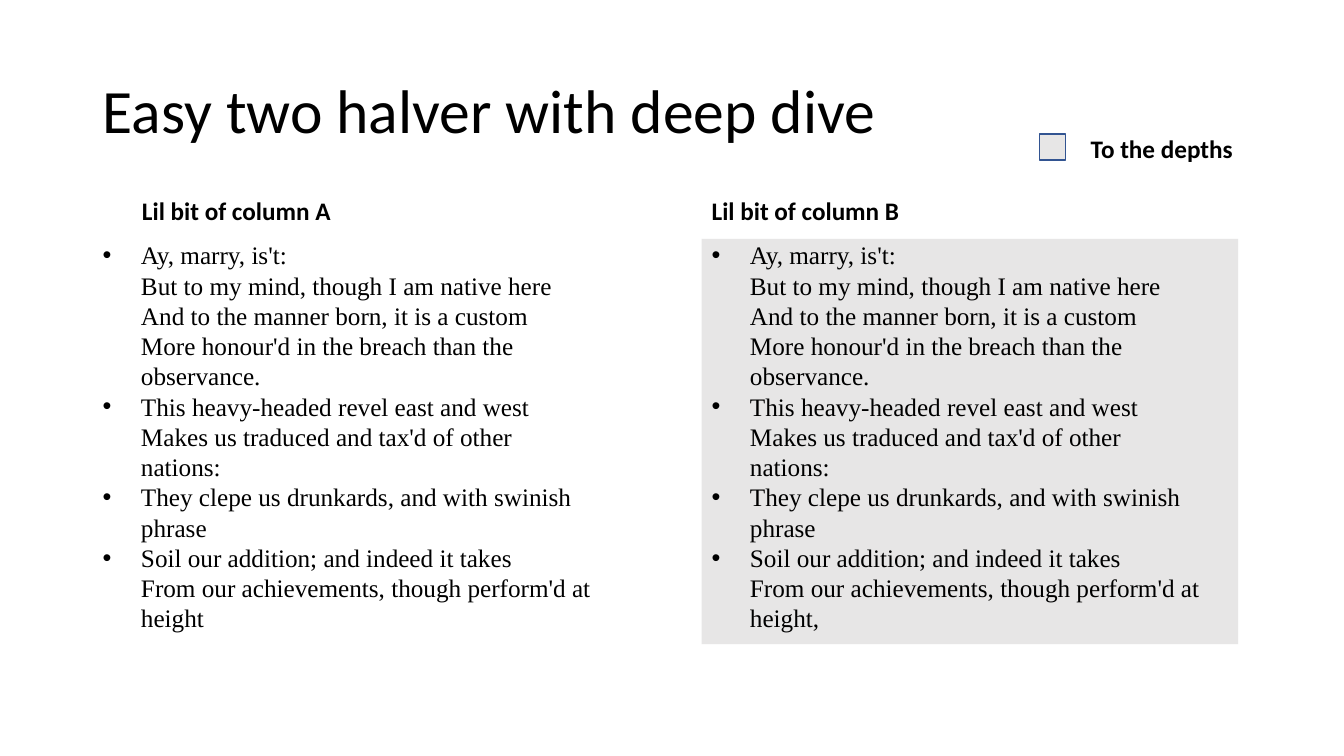
import pptx
import pptx.util
import pptx.dml.color
import pptx.enum.shapes
import pptx.enum.text
import pptx.oxml.ns
import lxml.etree

PX = 9144
COLORS = {"text": "000000", "panel": "E7E6E6", "outline": "325491"}


def color(name):
    return pptx.dml.color.RGBColor.from_string(COLORS[name])


def write(frame, text, size=18, font="Calibri", bold=False, bullet=False,
          spacing=1.0, anchor=pptx.enum.text.MSO_ANCHOR.TOP):
    frame.word_wrap = True
    frame.auto_size = pptx.enum.text.MSO_AUTO_SIZE.NONE
    frame.vertical_anchor = anchor
    items = [text] if isinstance(text, str) else text
    for index, item in enumerate(items):
        paragraph = frame.paragraphs[0] if index == 0 else frame.add_paragraph()
        paragraph.text = item
        paragraph.alignment = pptx.enum.text.PP_ALIGN.LEFT
        paragraph.line_spacing = spacing
        if bullet:
            properties = paragraph._p.get_or_add_pPr()
            properties.set("marL", str(38 * PX))
            properties.set("indent", str(-38 * PX))
            bullet_font = lxml.etree.SubElement(properties, pptx.oxml.ns.qn("a:buFont"))
            bullet_font.set("typeface", "Arial")
            mark = lxml.etree.SubElement(properties, pptx.oxml.ns.qn("a:buChar"))
            mark.set("char", "•")
        for run in paragraph.runs:
            run.font.size = pptx.util.Pt(size)
            run.font.name = font
            run.font.bold = bold
            run.font.color.rgb = color("text")


deck = pptx.Presentation()
deck.slide_width, deck.slide_height = 1333 * PX, 750 * PX
slide = deck.slides.add_slide(deck.slide_layouts[5])
shapes = slide.shapes

for box, outline in [((696, 237, 532, 402), None), ((1031, 133, 26, 26), "outline")]:
    panel = shapes.add_shape(pptx.enum.shapes.MSO_SHAPE.RECTANGLE, *[v * PX for v in box])
    panel.shadow.inherit = False
    panel.fill.solid()
    panel.fill.fore_color.rgb = color("panel")
    if outline:
        panel.line.color.rgb = color(outline)
        panel.line.width = pptx.util.Pt(1)
    else:
        panel.line.fill.background()

title = shapes.title
title.left, title.top, title.width, title.height = [v * PX for v in (92, 40, 1150, 145)]
write(title.text_frame, "Easy two halver with deep dive", size=44, spacing=0.9,
      anchor=pptx.enum.text.MSO_ANCHOR.MIDDLE)

verses = [
    "Ay, marry, is't:\vBut to my mind, though I am native here\v"
    "And to the manner born, it is a custom\v"
    "More honour'd in the breach than the observance.",
    "This heavy-headed revel east and west\v"
    "Makes us traduced and tax'd of other nations:",
    "They clepe us drunkards, and with swinish phrase",
    "Soil our addition; and indeed it takes\v"
    "From our achievements, though perform'd at height",
]
for left, height, ending in [(92, 434, ""), (696, 464, ",")]:
    column = shapes.add_textbox(left * PX, 233 * PX, 509 * PX, height * PX)
    write(column.text_frame, verses[:-1] + [verses[-1] + ending],
          font="Times New Roman", bullet=True)

for left, top, width, label in [
    (131, 189, 282, "Lil bit of column A"),
    (696, 189, 282, "Lil bit of column B"),
    (1072, 127, 170, "To the depths"),
]:
    heading = shapes.add_textbox(left * PX, top * PX, width * PX, 40 * PX)
    write(heading.text_frame, label, bold=True)

deck.save("out.pptx")
